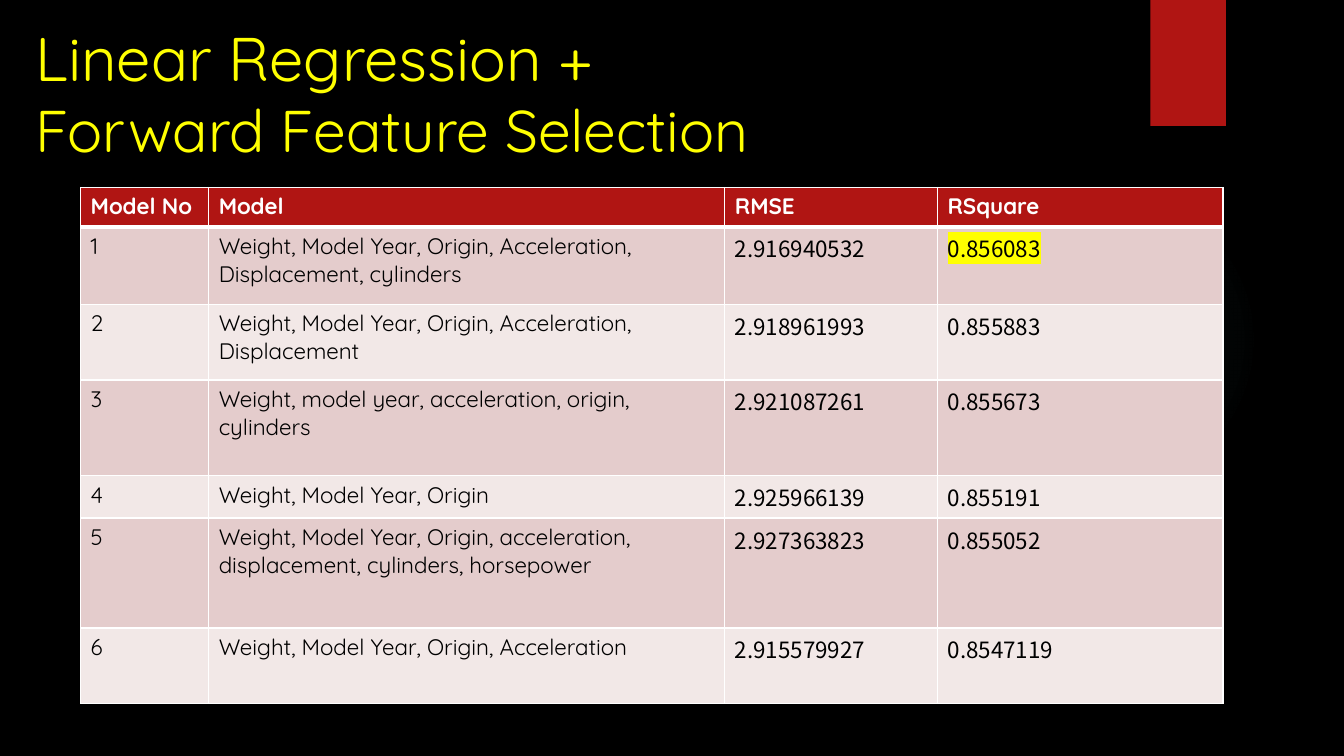
from lxml import etree
from pptx import Presentation
from pptx import util as u
from pptx.dml.color import RGBColor
from pptx.enum import shapes, text
from pptx.oxml.ns import qn

HEAD_FONT = "Quicksand"
NUMBER_FONT = "Noto Sans CJK JP"
RED, YELLOW, WHITE, BLACK = "B01513", "FFFF00", "FFFFFF", "000000"
BANDS = ("E4CCCC", "F2E8E7")

COLUMN_WIDTHS = (1.27, 5.12, 2.11, 2.83)
ROW_HEIGHTS = (0.39, 0.77, 0.75, 0.95, 0.41, 1.09, 0.75)
HEADINGS = ("Model No", "Model", "RMSE", "RSquare")
MODELS = (
    ("Weight, Model Year, Origin, Acceleration, Displacement, cylinders", "2.916940532", "0.856083"),
    ("Weight, Model Year, Origin, Acceleration, Displacement", "2.918961993", "0.855883"),
    ("Weight, model year, acceleration, origin, cylinders", "2.921087261", "0.855673"),
    ("Weight, Model Year, Origin", "2.925966139", "0.855191"),
    ("Weight, Model Year, Origin, acceleration, displacement, cylinders, horsepower",
     "2.927363823", "0.855052"),
    ("Weight, Model Year, Origin, Acceleration", "2.915579927", "0.8547119"),
)


def color(value):
    return RGBColor.from_string(value)


def add_color(parent, value, alpha=None):
    node = etree.SubElement(parent, qn("a:srgbClr"), val=value)
    if alpha is not None:
        etree.SubElement(node, qn("a:alpha"), val=str(alpha * 1000))


def write(para, content, size=16, font=HEAD_FONT, ink=BLACK, bold=False, highlight=None):
    span = para.add_run()
    span.text = content
    span.font.size = u.Pt(size)
    span.font.bold = bold
    span.font.name = font
    span.font.color.rgb = color(ink)
    if highlight:
        mark = etree.Element(qn("a:highlight"))
        add_color(mark, highlight)
        span.font.fill._xPr.find(qn("a:solidFill")).addnext(mark)


class SlideBuilder:
    def __init__(self, deck):
        self.page = deck.slides.add_slide(deck.slide_layouts[5])
        self.page.background.fill.solid()
        self.page.background.fill.fore_color.rgb = color(BLACK)

    def shape(self, kind, left, top, width, height):
        box = self.page.shapes.add_shape(kind, *map(u.Inches, (left, top, width, height)))
        box.shadow.inherit = False
        box.line.fill.background()
        return box

    def block(self, *place, fill):
        box = self.shape(shapes.MSO_SHAPE.RECTANGLE, *place)
        box.fill.solid()
        box.fill.fore_color.rgb = color(fill)

    def glow(self, *place, fill, stops):
        box = self.shape(shapes.MSO_SHAPE.OVAL, *place)
        box.fill.gradient()
        gradient = box.fill._xPr.find(qn("a:gradFill"))
        for child in list(gradient):
            gradient.remove(child)
        stop_list = etree.SubElement(gradient, qn("a:gsLst"))
        for position, alpha in stops:
            stop = etree.SubElement(stop_list, qn("a:gs"), pos=str(position * 1000))
            add_color(stop, fill, alpha)
        circle = etree.SubElement(gradient, qn("a:path"), path="circle")
        etree.SubElement(circle, qn("a:fillToRect"), l="50000", t="50000", r="50000", b="50000")

    def title(self, left, top, width, height, lines):
        box = self.page.shapes.title
        box.left, box.top, box.width, box.height = map(u.Inches, (left, top, width, height))
        frame = box.text_frame
        frame.word_wrap = True
        frame.auto_size = text.MSO_AUTO_SIZE.NONE
        frame.vertical_anchor = text.MSO_ANCHOR.TOP
        for index, (content, size) in enumerate(lines):
            para = frame.add_paragraph() if index else frame.paragraphs[0]
            para.alignment = text.PP_ALIGN.LEFT
            write(para, content, size=size, ink=YELLOW)

    def borders(self, cell, **widths):
        properties = cell._tc.get_or_add_tcPr()
        for index, side in enumerate("LRTB"):
            width = u.Pt(widths.get(side, 1))
            line = etree.Element(qn(f"a:ln{side}"), w=str(width))
            add_color(etree.SubElement(line, qn("a:solidFill")), WHITE)
            properties.insert(index, line)

    def cell(self, cell, content, fill, borders, **style):
        cell.fill.solid()
        cell.fill.fore_color.rgb = color(fill)
        self.borders(cell, **borders)
        write(cell.text_frame.paragraphs[0], content, **style)

    def table(self, left, top):
        size = sum(COLUMN_WIDTHS), sum(ROW_HEIGHTS)
        table = self.page.shapes.add_table(
            len(ROW_HEIGHTS), len(COLUMN_WIDTHS), *map(u.Inches, (left, top, *size))).table
        for column, width in zip(table.columns, COLUMN_WIDTHS):
            column.width = u.Inches(width)
        for row, height in zip(table.rows, ROW_HEIGHTS):
            row.height = u.Inches(height)
        for index, heading in enumerate(HEADINGS):
            self.cell(table.cell(0, index), heading, RED, {"B": 3}, ink=WHITE, bold=True)
        for number, model in enumerate(MODELS, 1):
            borders = {"T": 3} if number == 1 else {}
            for index, content in enumerate((str(number), *model)):
                best = number == 1 and HEADINGS[index] == "RSquare"
                self.cell(table.cell(number, index), content, BANDS[(number - 1) % 2], borders,
                          font=NUMBER_FONT if index > 1 else HEAD_FONT,
                          highlight=YELLOW if best else None)


def main():
    deck = Presentation()
    deck.slide_width, deck.slide_height = u.Inches(13.33), u.Inches(7.5)
    slide = SlideBuilder(deck)
    slide.glow(9.41, 1.83, 3.08, 3.08, fill="50B9C1", stops=((0, 7), (36, 6), (69, 0)))
    slide.block(11.41, 0, 0.75, 1.25, fill=RED)
    slide.title(0.25, 0.15, 9.78, 1.55,
                (("Linear Regression +", 44), ("Forward Feature Selection", 42)))
    slide.table(0.8, 1.86)
    deck.save("out.pptx")


if __name__ == "__main__":
    main()
